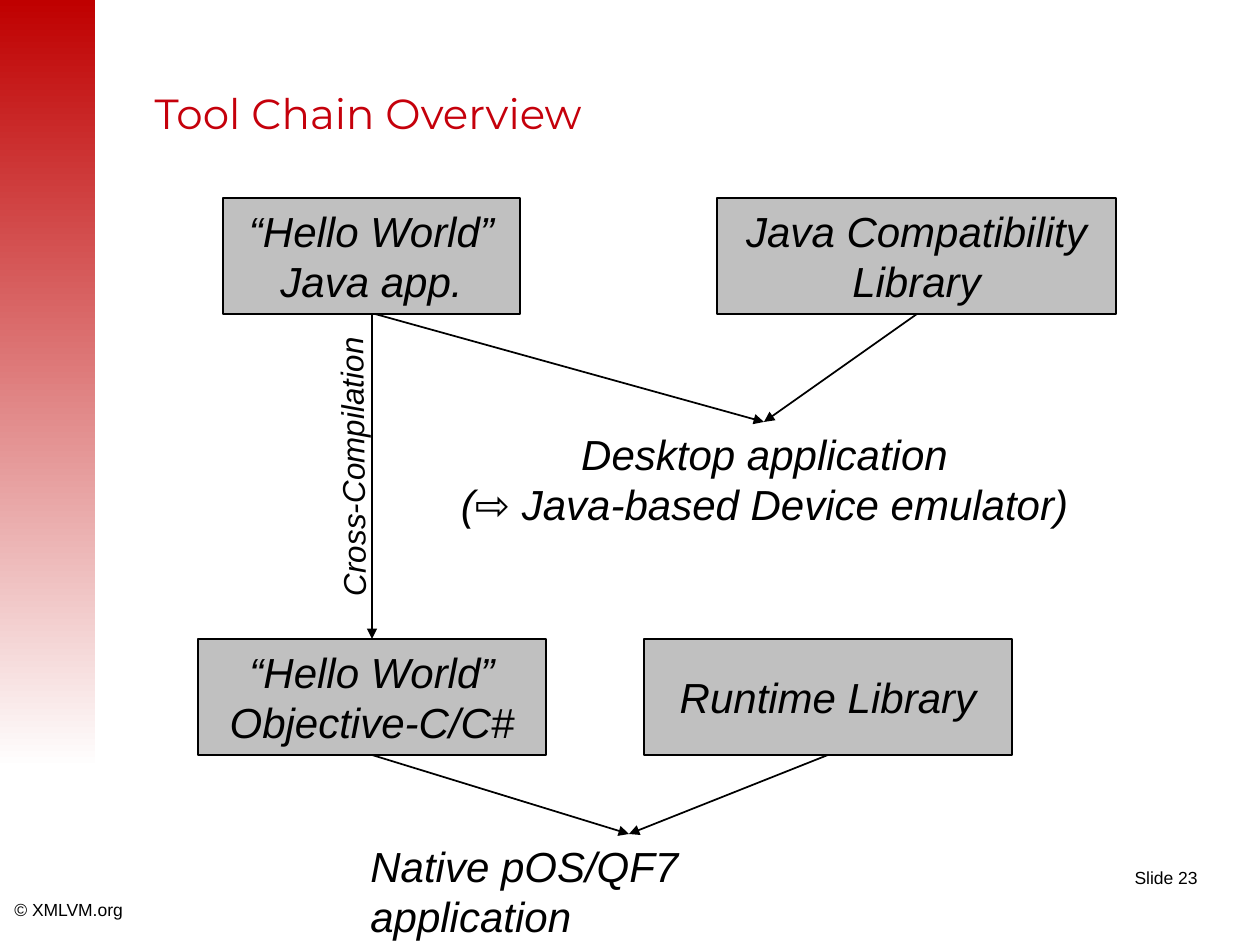
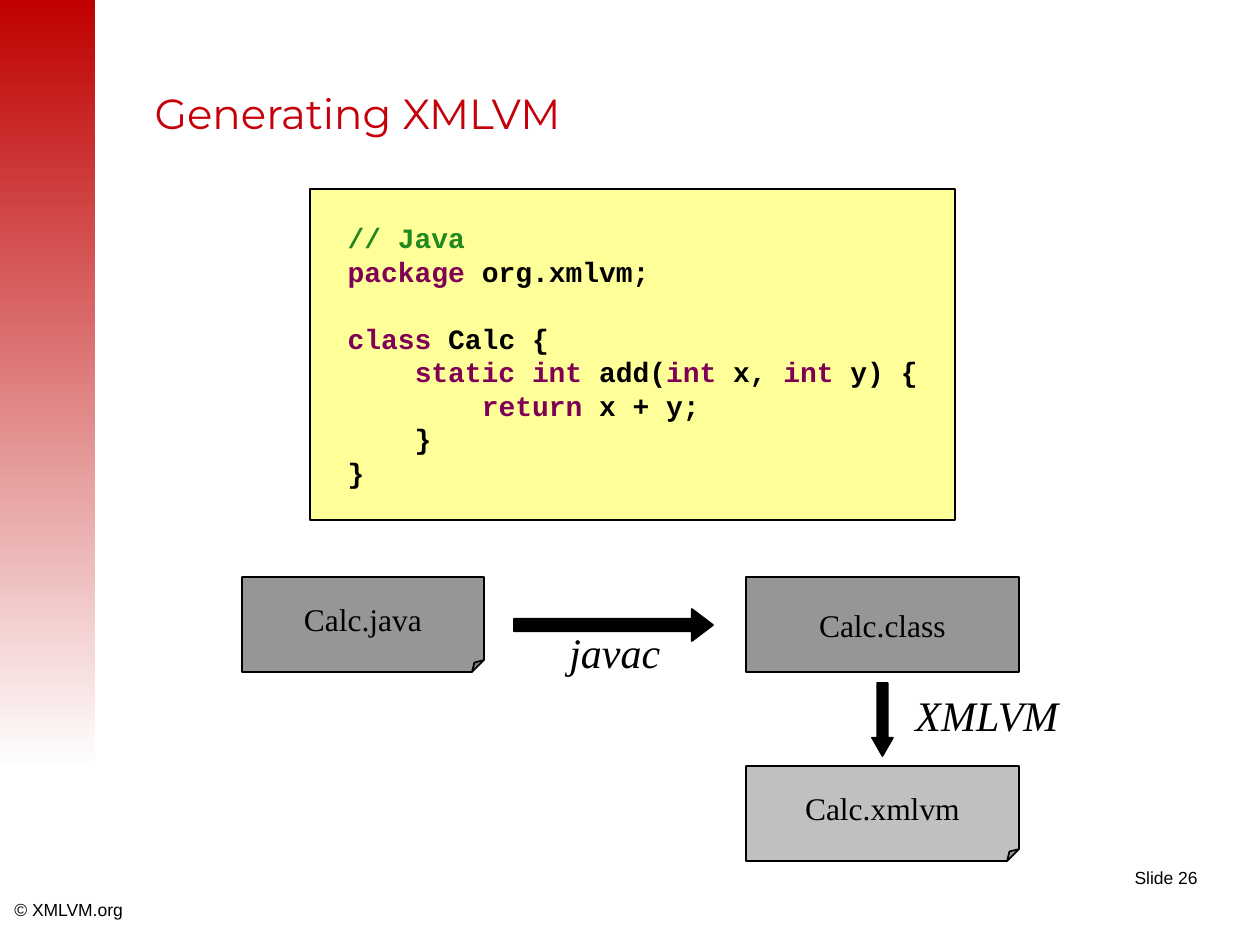
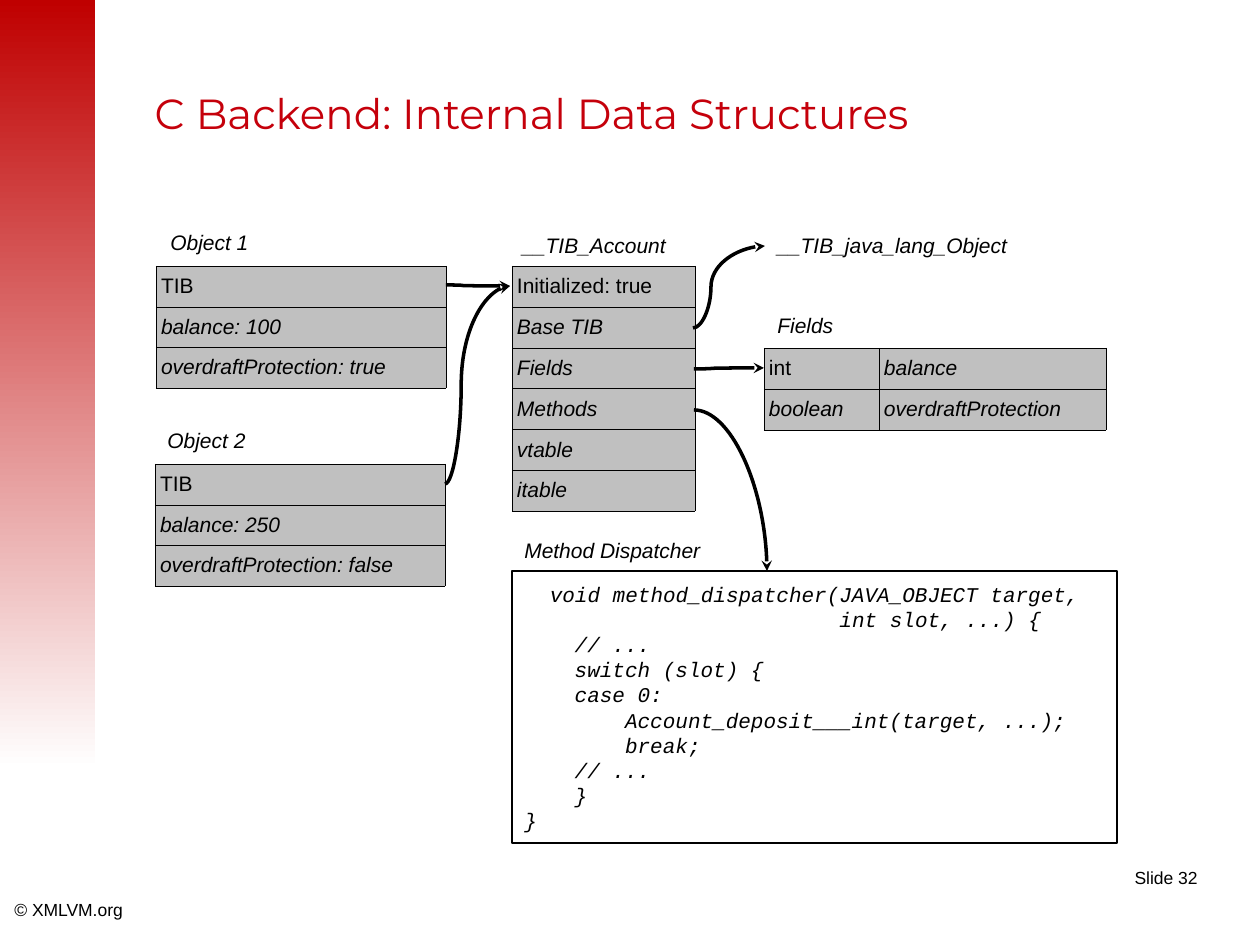
from lxml.etree import SubElement
from pptx import Presentation
from pptx.dml.color import RGBColor
from pptx.enum.shapes import MSO_CONNECTOR as CONN, MSO_SHAPE as SHAPE
from pptx.enum.text import MSO_ANCHOR as ANCHOR, MSO_AUTO_SIZE as AUTO, PP_ALIGN as ALIGN
from pptx.oxml.ns import qn
from pptx.util import Emu, Inches, Pt

PX = 914400 / 126

BLACK = RGBColor(0x00, 0x00, 0x00)
WHITE = RGBColor(0xFF, 0xFF, 0xFF)
BAND_RED = RGBColor(0xBF, 0x00, 0x00)
TITLE_RED = RGBColor(0xC5, 0x00, 0x0B)
LIGHT_GREY = RGBColor(0xC0, 0xC0, 0xC0)
DARK_GREY = RGBColor(0x96, 0x96, 0x96)
YELLOW = RGBColor(0xFF, 0xFF, 0x99)
KEYWORD = RGBColor(0x7F, 0x00, 0x55)
COMMENT = RGBColor(0x22, 0x88, 0x20)

SANS, SERIF, MONO, HEAD = "Arial", "Times New Roman", "Courier New", "Montserrat"
LEADING = 1.2

DIAGRAM = dict(name=SANS, size=Pt(24), italic=True)
LABEL = dict(name=SANS, size=Pt(12), italic=True)
FOOTER = dict(name=SANS, size=Pt(10))
FILE = dict(name=SERIF, size=Pt(18))
TOOL = dict(name=SERIF, size=Pt(24), italic=True)
JAVA = dict(name=MONO, size=Pt(16), bold=True)
C_CODE = dict(name=MONO, size=Pt(12), italic=True)

JAVA_LINES = [  # keywords stand between bars
    "// Java",
    "|package| org.xmlvm;",
    "|class| Calc {",
    "    |static int| add(|int| x, |int| y) {",
    "        |return| x + y;",
    "    }",
    "}",
]
DISPATCHER_LINES = [
    "void method_dispatcher(JAVA_OBJECT target,",
    "                    int slot, ...) {",
    "    // ...",
    "    switch (slot) {",
    "    case 0:",
    "        Account_deposit___int(target, ...);",
    "        break;",
    "    // ...",
    "    }",
    "}",
]


def px(*values):
    return [Emu(round(v * PX)) for v in values]


def set_format(font, fmt, color=BLACK):
    for key, value in fmt.items():
        setattr(font, key, value)
    font.color.rgb = color


def write(tf, lines, fmt, align=ALIGN.LEFT, anchor=ANCHOR.TOP):
    """Fill a text frame; odd parts of a line split at bars are keywords."""
    tf.word_wrap = False
    tf.vertical_anchor = anchor
    for n, line in enumerate(lines):
        p = tf.paragraphs[0] if n == 0 else tf.add_paragraph()
        p.alignment = align
        p.line_spacing = Pt(fmt["size"].pt * LEADING)
        for i, part in enumerate(line.split("|")):
            if part:
                r = p.add_run()
                r.text = part
                set_format(r.font, fmt, KEYWORD if i % 2 else BLACK)


def set_guides(sp, guides):
    """Set the adjustments of a preset outline, given as fractions by name."""
    geom = sp.element.spPr.find(qn("a:prstGeom"))
    av_lst = geom.find(qn("a:avLst"))
    if av_lst is None:
        av_lst = SubElement(geom, qn("a:avLst"))
    for gd in list(av_lst):
        av_lst.remove(gd)
    for name, value in guides.items():
        SubElement(av_lst, qn("a:gd"), name=name, fmla=f"val {round(value * 100000)}")


def add_label(s, box, lines, fmt, align=ALIGN.LEFT):
    sp = s.shapes.add_textbox(*px(*box))
    write(sp.text_frame, lines, fmt, align)
    return sp


def add_box(s, box, fill, kind=SHAPE.RECTANGLE, width=1, guides=None):
    sp = s.shapes.add_shape(kind, *px(*box))
    sp.shadow.inherit = False
    if fill is None:
        sp.fill.background()
    else:
        sp.fill.solid()
        sp.fill.fore_color.rgb = fill
    sp.line.color.rgb = BLACK
    sp.line.width = Pt(width)
    if guides:
        set_guides(sp, guides)
    return sp


def add_text_box(s, box, fill, lines, fmt, **outline):
    sp = add_box(s, box, fill, **outline)
    write(sp.text_frame, lines, fmt, ALIGN.CENTER, ANCHOR.MIDDLE)


def add_arrow(s, start, end, kind=CONN.STRAIGHT, head="triangle", width=1):
    c = s.shapes.add_connector(kind, *px(*start, *end))
    c.line.color.rgb = BLACK
    c.line.width = Pt(width)
    sp_pr = c.element.spPr
    SubElement(sp_pr.find(qn("a:ln")), qn("a:tailEnd"), type=head)
    SubElement(sp_pr, qn("a:effectLst"))
    return c


def add_curve(s, start, end, quarter_turn=False):
    c = add_arrow(s, start, end, CONN.CURVE, "stealth", 0)
    if quarter_turn:
        c.element.spPr.find(qn("a:prstGeom")).set("prst", "curvedConnector2")
    else:
        set_guides(c, dict(adj1=0.25))


def add_borders(cell):
    tc_pr = cell._tc.get_or_add_tcPr()
    for i, side in enumerate(("lnL", "lnR", "lnT", "lnB")):
        ln = SubElement(tc_pr, qn("a:" + side), w="762")
        fill = SubElement(ln, qn("a:solidFill"))
        SubElement(fill, qn("a:srgbClr"), val=str(BLACK))
        tc_pr.insert(i, ln)


def add_struct(s, left, top, height, widths, rows):
    """Draw a data structure whose first cell alone is upright."""
    table = s.shapes.add_table(
        len(rows), len(widths), *px(left, top, sum(widths), height)).table
    table.first_row = table.horz_banding = False
    for col, width in zip(table.columns, px(*widths)):
        col.width = width
    for i, row in enumerate(rows):
        for j, text in enumerate(row):
            cell = table.cell(i, j)
            cell.fill.solid()
            cell.fill.fore_color.rgb = LIGHT_GREY
            add_borders(cell)
            cell.margin_left = cell.margin_right = Inches(0.04)
            cell.vertical_anchor = ANCHOR.MIDDLE
            p = cell.text_frame.paragraphs[0]
            r = p.add_run()
            r.text = text
            set_format(r.font, LABEL | dict(italic=i + j > 0))


def add_slide(prs, title, number):
    """Start a slide with the band, title and footers that all share."""
    s = prs.slides.add_slide(prs.slide_layouts[5])

    band = add_box(s, (0, 0, 95, 769), WHITE)
    band.line.fill.background()
    band.fill.gradient()
    band.fill.gradient_angle = 270
    for stop, color in zip(band.fill.gradient_stops, (BAND_RED, WHITE)):
        stop.color.rgb = color

    sp = s.shapes.title
    sp.left, sp.top, sp.width, sp.height = px(142, 57, 1072, 117)
    tf = sp.text_frame
    tf.text = title
    tf.auto_size = AUTO.NONE
    tf.vertical_anchor = ANCHOR.MIDDLE
    p = tf.paragraphs[0]
    p.alignment = ALIGN.LEFT
    p.line_spacing = 0.9
    set_format(p.runs[0].font, dict(name=HEAD, size=Pt(24)), TITLE_RED)

    add_label(s, (1058, 861, 152, 34), [f"Slide {number}"], FOOTER, ALIGN.RIGHT)
    add_label(s, (2, 893, 135, 34), ["© XMLVM.org"], FOOTER)
    return s


def build_tool_chain(prs):
    s = add_slide(prs, "Tool Chain Overview", 23)
    top, middle, height = 198, 639, 116
    for left, y, width, lines in (
        (223, top, 297, ["“Hello World”", "Java app."]),
        (717, top, 399, ["Java Compatibility", "Library"]),
        (198, middle, 348, ["“Hello World”", "Objective-C/C#"]),
        (644, middle, 368, ["Runtime Library"]),
    ):
        add_text_box(s, (left, y, width, height), LIGHT_GREY, lines, DIAGRAM)

    # Results of the two builds
    add_label(s, (445, 422, 639, 113),
              ["Desktop application", "(⇨ Java-based Device emulator)"],
              DIAGRAM, ALIGN.CENTER)
    add_label(s, (358, 834, 541, 63), ["Native pOS/QF7 application"], DIAGRAM)

    # Flow
    top_end, middle_end = top + height, middle + height
    desktop, native = (764, 422), (629, 834)
    for start, end in (
        ((372, top_end), (372, middle)),
        ((375, top_end), desktop),
        ((917, top_end), desktop),
        ((372, middle_end), native),
        ((828, middle_end), native),
    ):
        add_arrow(s, start, end)
    sp = add_label(s, (210, 442, 284, 50), ["Cross-Compilation"],
                   DIAGRAM | dict(size=Pt(18)))
    sp.rotation = 269.3


def build_generating(prs):
    s = add_slide(prs, "Generating XMLVM", 26)

    # Java source
    tf = add_box(s, (310, 189, 645, 331), YELLOW).text_frame
    tf.margin_left = tf.margin_right = Inches(0.3)
    tf.margin_top = tf.margin_bottom = Inches(0.25)
    write(tf, JAVA_LINES, JAVA)
    tf.paragraphs[0].runs[0].font.color.rgb = COMMENT
    tf.paragraphs[2].space_before = Pt(JAVA["size"].pt * LEADING)

    # Files
    fold = dict(kind=SHAPE.FOLDED_CORNER, guides=dict(adj=0.125))
    add_text_box(s, (242, 577, 242, 95), DARK_GREY, ["Calc.java"], FILE, **fold)
    add_text_box(s, (746, 577, 273, 95), DARK_GREY, ["Calc.class"], FILE)
    add_text_box(s, (746, 766, 273, 95), LIGHT_GREY, ["Calc.xmlvm"], FILE, **fold)

    # Tools
    add_box(s, (514, 609, 199, 32), BLACK, SHAPE.RIGHT_ARROW,
            guides=dict(adj1=0.39, adj2=0.66))
    add_box(s, (872, 683, 21, 73), BLACK, SHAPE.DOWN_ARROW,
            guides=dict(adj1=0.5, adj2=0.87))
    add_label(s, (557, 620, 116, 63), ["javac"], TOOL)
    add_label(s, (903, 683, 170, 63), ["XMLVM"], TOOL)


def build_structures(prs):
    s = add_slide(prs, "C Backend: Internal Data Structures", 32)

    # Structures
    add_struct(s, 156, 266, 122, [290],
               [["TIB"], ["balance: 100"], ["overdraftProtection: true"]])
    add_struct(s, 155, 464, 122, [290],
               [["TIB"], ["balance: 250"], ["overdraftProtection: false"]])
    add_struct(s, 512, 266, 245, [183],
               [["Initialized: true"], ["Base TIB"], ["Fields"],
                ["Methods"], ["vtable"], ["itable"]])
    add_struct(s, 764, 348, 82, [115, 227],
               [["int", "balance"], ["boolean", "overdraftProtection"]])

    # Dispatcher code, its signature centred
    tf = add_box(s, (512, 571, 605, 272), None, width=0).text_frame
    write(tf, DISPATCHER_LINES, C_CODE, anchor=ANCHOR.MIDDLE)
    for p in tf.paragraphs[:2]:
        p.alignment = ALIGN.CENTER

    for left, top, width, text in (
        (158, 223, 115, "Object 1"),
        (155, 421, 115, "Object 2"),
        (510, 226, 188, "__TIB_Account"),
        (765, 226, 284, "__TIB_java_lang_Object"),
        (765, 306, 91, "Fields"),
        (512, 531, 224, "Method Dispatcher"),
    ):
        add_label(s, (left, top, width, 40), [text], LABEL)

    # References
    add_curve(s, (446, 285), (510, 286))
    add_curve(s, (445, 484), (510, 286))
    add_curve(s, (693, 328), (765, 246))
    add_curve(s, (694, 369), (764, 368))
    add_curve(s, (694, 410), (767, 571), quarter_turn=True)


def main():
    prs = Presentation()
    prs.slide_width, prs.slide_height = px(1260, 945)
    build_tool_chain(prs)
    build_generating(prs)
    build_structures(prs)
    prs.save("out.pptx")


if __name__ == "__main__":
    main()
